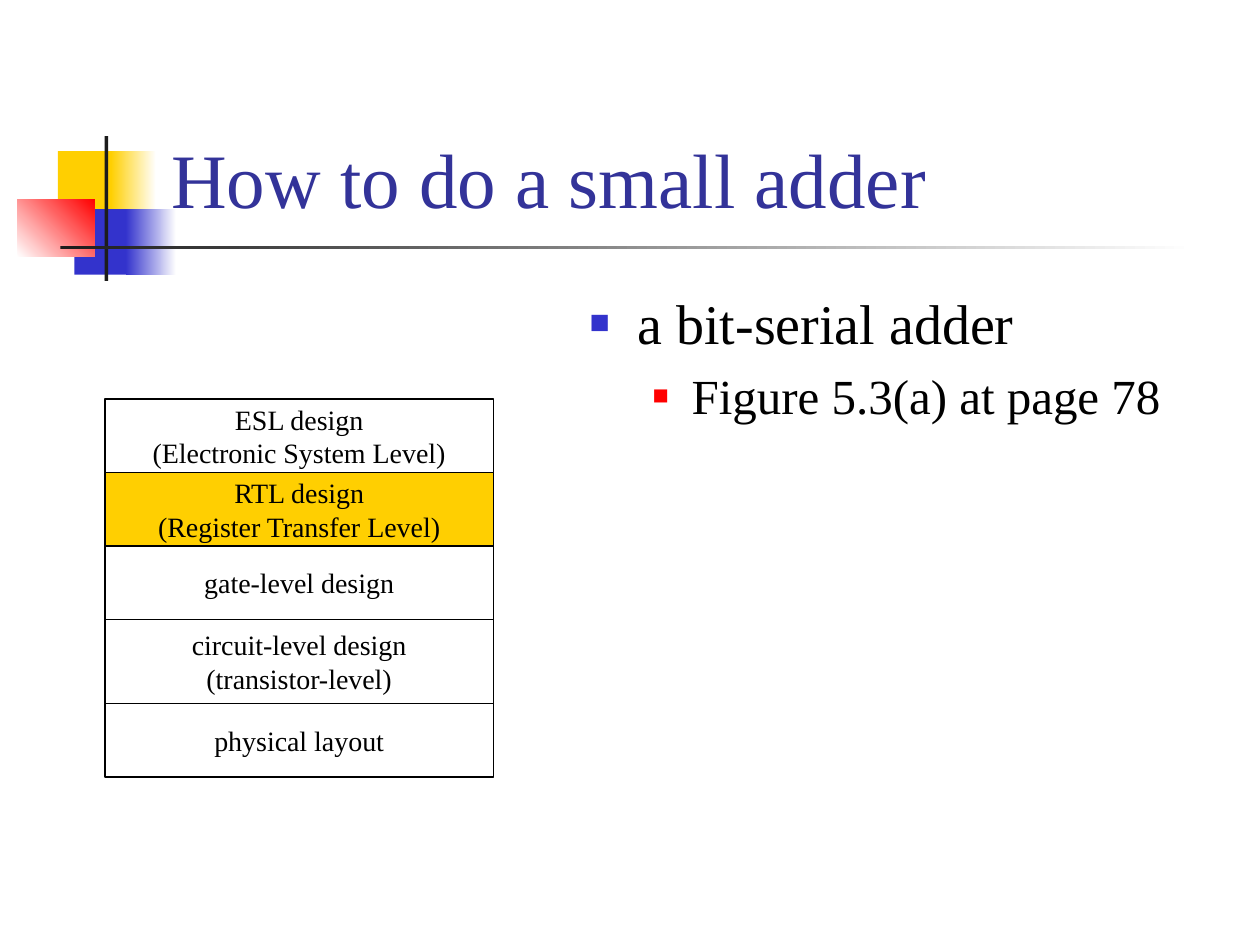
from dataclasses import dataclass

from lxml.etree import SubElement
from pptx import Presentation
from pptx.dml.color import RGBColor
from pptx.enum.shapes import MSO_SHAPE
from pptx.enum.text import MSO_ANCHOR, MSO_AUTO_SIZE, PP_ALIGN
from pptx.oxml.ns import qn
from pptx.util import Inches, Pt

FONT = "Times New Roman"
UNIT = 1 / 12
STACK_LEFT, STACK_TOP, STACK_WIDTH = 10, 38, 37
COLORS = {
    "white": "FFFFFF", "black": "000000", "ink": "1C1C1C", "title": "333399",
    "yellow": "FFCF01", "blue": "3333CC", "red": "FF0000",
}


@dataclass
class Block:
    left: float
    top: float
    width: float
    height: float
    fill: str
    end: str = ""
    angle: int = 0


@dataclass
class Level:
    text: str
    rows: int = 7
    fill: str = ""


@dataclass
class Item:
    text: str
    level: int
    size: int
    color: str
    bullet_pct: int
    margin: float
    hang: float
    before: float


BLOCKS = [
    Block(0.46, 1.2, 0.48, 0.52, "yellow"),
    Block(0.88, 1.2, 0.36, 0.52, "yellow", "white"),
    Block(0.59, 1.66, 0.46, 0.52, "blue"),
    Block(1, 1.66, 0.4, 0.52, "blue", "white"),
    Block(0.14, 1.58, 0.61, 0.46, "white", "red", 45),
    Block(0.83, 1.08, 0.03, 1.15, "ink"),
    Block(0.48, 1.95, 9, 0.03, "ink", "white"),
]
LEVELS = [
    Level("ESL design\n(Electronic System Level)"),
    Level("RTL design\n(Register Transfer Level)", fill="yellow"),
    Level("gate-level design"),
    Level("circuit-level design\n(transistor-level)", rows=8),
    Level("physical layout"),
]
ITEMS = [
    Item("a bit-serial adder", 0, 32, "blue", 60, 0.38, 0.38, 0),
    Item("Figure 5.3(a) at page 78", 1, 28, "red", 55, 0.81, 0.31, 5.6),
]


def rgb(name: str) -> RGBColor:
    """Look up a named colour."""
    return RGBColor.from_string(COLORS[name])


def write(p, text: str, *, size: float, color: str = "black", align=PP_ALIGN.LEFT, before: float = 0) -> None:
    """Write one formatted run into a paragraph."""
    p.alignment = align
    p.space_before = Pt(before)
    r = p.add_run()
    r.text = text
    r.font.size, r.font.name = Pt(size), FONT
    r.font.color.rgb = rgb(color)


def place(sp, left: float, top: float, width: float, height: float) -> None:
    """Move and size a shape in inches."""
    sp.left, sp.top, sp.width, sp.height = map(Inches, (left, top, width, height))


def add_rect(s, left: float, top: float, width: float, height: float):
    """Add a rectangle without a shadow."""
    sp = s.shapes.add_shape(MSO_SHAPE.RECTANGLE, *map(Inches, (left, top, width, height)))
    sp.shadow.inherit = False
    return sp


def add_block(s, block: Block) -> None:
    """Draw one solid or graded ornament block."""
    sp = add_rect(s, block.left, block.top, block.width, block.height)
    sp.line.fill.background()
    if block.end:
        sp.fill.gradient()
        sp.fill.gradient_angle = block.angle
        for stop, name in zip(sp.fill.gradient_stops, (block.fill, block.end)):
            stop.color.rgb = rgb(name)
    else:
        sp.fill.solid()
        sp.fill.fore_color.rgb = rgb(block.fill)


def add_level(s, level: Level, row: int) -> None:
    """Draw one design level of the stack."""
    sp = add_rect(s, *(n * UNIT for n in (STACK_LEFT, row, STACK_WIDTH, level.rows)))
    sp.line.color.rgb, sp.line.width = rgb("black"), Pt(0.75)
    if level.fill:
        sp.fill.solid()
        sp.fill.fore_color.rgb = rgb(level.fill)
    else:
        sp.fill.background()
    tf = sp.text_frame
    tf.word_wrap, tf.vertical_anchor = False, MSO_ANCHOR.MIDDLE
    for i, line in enumerate(level.text.split("\n")):
        p = tf.add_paragraph() if i else tf.paragraphs[0]
        write(p, line, size=16, align=PP_ALIGN.CENTER)


def add_item(p, item: Item) -> None:
    """Write one bulleted list item."""
    p.level = item.level
    pPr = p._p.get_or_add_pPr()
    pPr.set("marL", str(Inches(item.margin)))
    pPr.set("indent", str(-Inches(item.hang)))
    color = SubElement(pPr, qn("a:buClr"))
    SubElement(color, qn("a:srgbClr"), val=COLORS[item.color])
    SubElement(pPr, qn("a:buSzPct"), val=str(item.bullet_pct * 1000))
    SubElement(pPr, qn("a:buFont"), typeface=FONT)
    SubElement(pPr, qn("a:buChar"), char="■")
    write(p, item.text, size=item.size, before=item.before)


def main() -> None:
    """Build the slide and save it."""
    prs = Presentation()
    prs.slide_width, prs.slide_height = Inches(10), Inches(7.5)
    s = prs.slides.add_slide(prs.slide_layouts[1])
    for block in BLOCKS:
        add_block(s, block)

    title, body = s.placeholders
    place(title, 1.26, 0.23, 8.52, 1.6)
    place(body, 4.58, 2.17, 5.25, 4.5)
    for sp in (title, body):
        sp.text_frame.auto_size = MSO_AUTO_SIZE.NONE
        s.shapes._spTree.append(sp._element)
    title.text_frame.vertical_anchor = MSO_ANCHOR.BOTTOM
    write(title.text_frame.paragraphs[0], "How to do a small adder", size=44, color="title")

    tf = body.text_frame
    tf.margin_top = Inches(0.12)
    for i, item in enumerate(ITEMS):
        add_item(tf.add_paragraph() if i else tf.paragraphs[0], item)

    row = STACK_TOP
    for level in LEVELS:
        add_level(s, level, row)
        row += level.rows
    prs.save("out.pptx")


if __name__ == "__main__":
    main()
